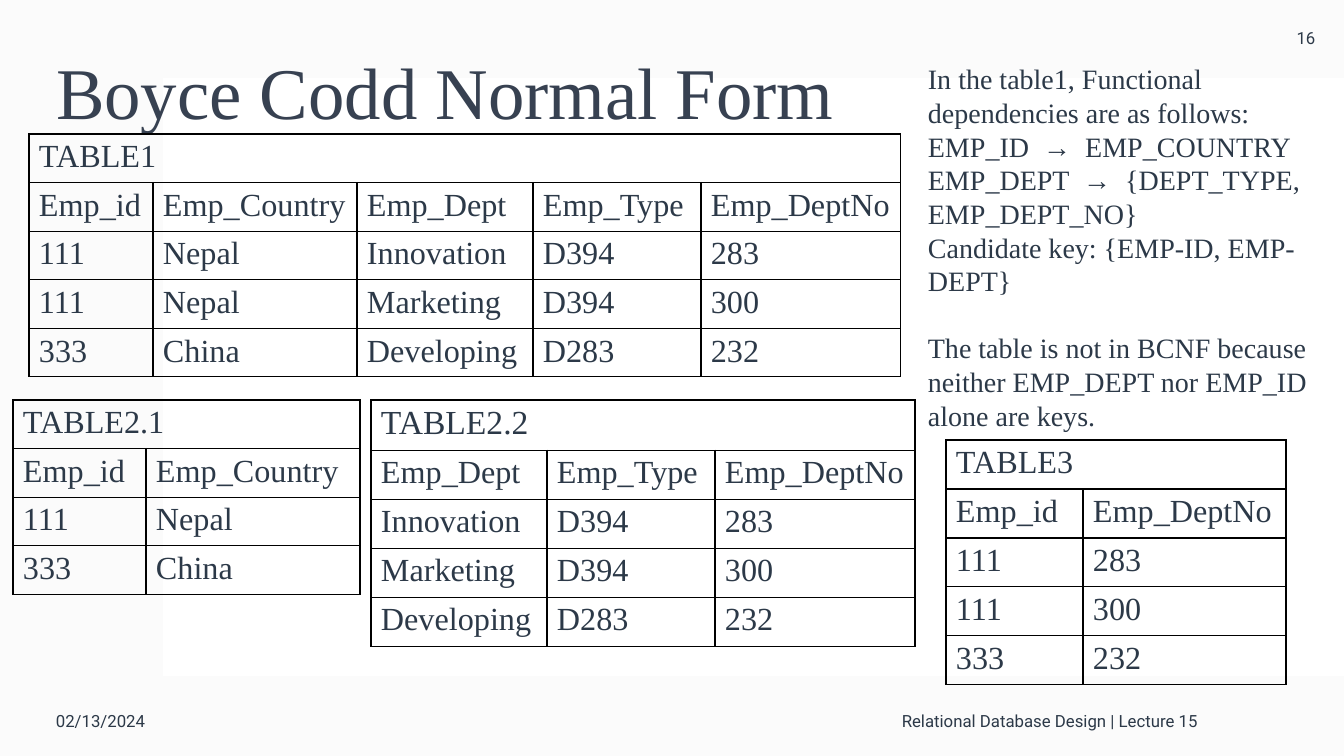
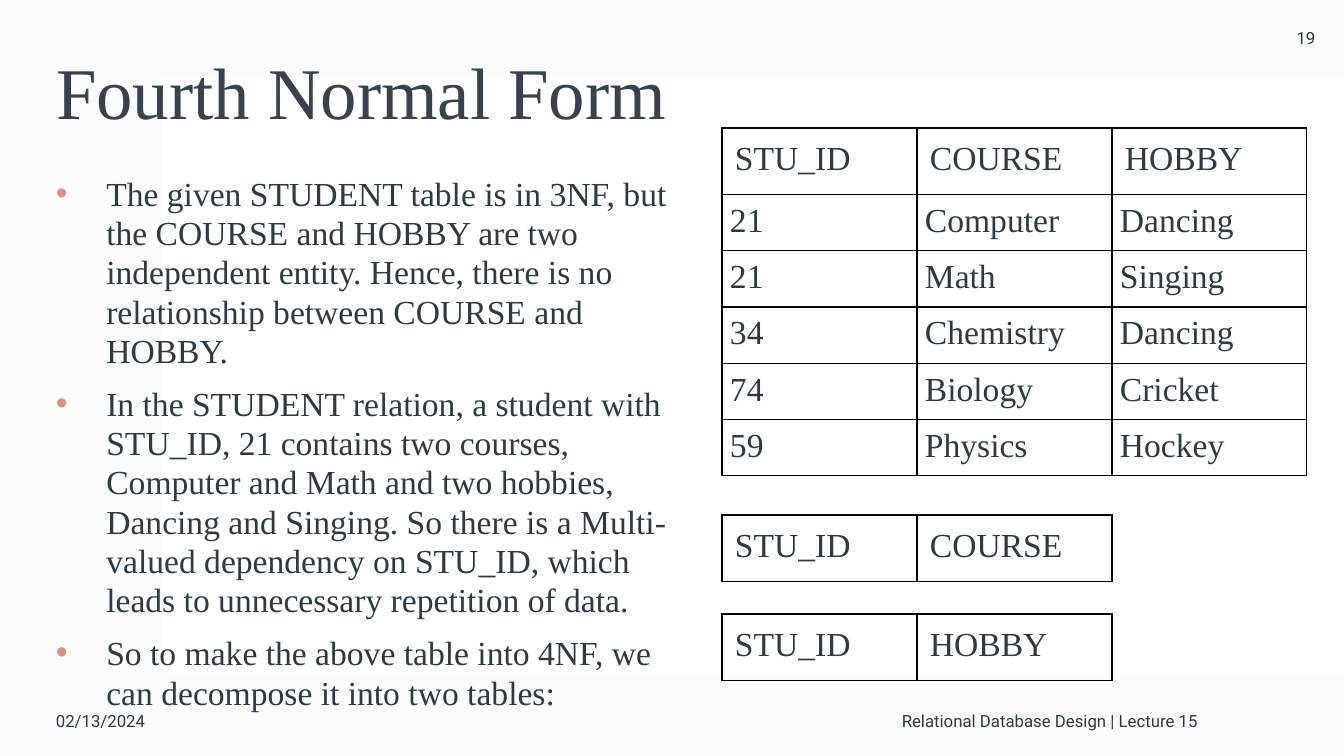
"""Build two slides on database normal forms."""
import pptx
import pptx.dml.color
import pptx.enum.shapes
import pptx.enum.text
import pptx.oxml
import pptx.oxml.ns
import pptx.util

PX = 914400 / 100.8
COLORS = {"page": "FBFBFB", "panel": "FFFFFF", "title": "374151",
          "text": "2C3948", "bullet": "D6947C", "border": "000000"}
SERIF, SANS = "Times New Roman", "Roboto"
ALIGN = pptx.enum.text.PP_ALIGN
MIDDLE = pptx.enum.text.MSO_ANCHOR.MIDDLE

PANEL_BOX = (163, 78, 1181, 598)
TITLE_BOX = (46, 23, 1222, 146)
NUMBER_BOX = (1268, 0, 76, 76)
FOOTERS = [("02/13/2024", (46, 685, 302, 71), ALIGN.LEFT),
           ("Relational Database Design | Lecture 15", (415, 685, 793, 71), ALIGN.RIGHT)]

TIGHT = {"margin_left": 10, "margin_right": 10, "margin_top": 5, "margin_bottom": 5}
HEADER = dict.fromkeys(TIGHT, 13)
DATA = dict.fromkeys(TIGHT, 8)

DEPARTMENTS = [("Emp_Dept", "Emp_Type", "Emp_DeptNo"), ("Innovation", "D394", "283"),
               ("Marketing", "D394", "300"), ("Developing", "D283", "232")]
EMPLOYEES = [("Emp_id", "Emp_Country"), ("111", "Nepal"), ("111", "Nepal"), ("333", "China")]

BCNF_TABLES = [
    {"at": (29, 134), "cols": (124, 204, 176, 168, 200), "row": 46, "caption": "TABLE1",
     "rows": [e + d for e, d in zip(EMPLOYEES, DEPARTMENTS)]},
    {"at": (13, 400), "cols": (133, 214), "row": 46, "caption": "TABLE2.1",
     "rows": EMPLOYEES[:2] + EMPLOYEES[3:]},
    {"at": (371, 400), "cols": (176, 168, 200), "row": 49, "caption": "TABLE2.2",
     "caption_size": 24, "rows": DEPARTMENTS},
    {"at": (946, 440), "cols": (137, 203), "row": 49, "caption": "TABLE3",
     "rows": [(e[0], d[2]) for e, d in zip(EMPLOYEES, DEPARTMENTS)]},
]
HOBBY_TABLES = [
    ((722, 128), [("STU_ID", "COURSE", "HOBBY"), ("21", "Computer", "Dancing"),
                  ("21", "Math", "Singing"), ("34", "Chemistry", "Dancing"),
                  ("74", "Biology", "Cricket"), ("59", "Physics", "Hockey")]),
    ((722, 515), [("STU_ID", "COURSE")]),
    ((722, 614), [("STU_ID", "HOBBY")]),
]
DEPENDENCIES = [
    "In the table1, Functional dependencies are as follows:",
    "EMP_ID  →  EMP_COUNTRY",
    "EMP_DEPT  →  {DEPT_TYPE, EMP_DEPT_NO}",
    "Candidate key: {EMP-ID, EMP-DEPT}",
]
CONCLUSION = "The table is not in BCNF because neither EMP_DEPT nor EMP_ID alone are keys."
FOURTH_POINTS = [
    "The given STUDENT table is in 3NF, but the COURSE and HOBBY are two independent entity. "
    "Hence, there is no relationship between COURSE and HOBBY.",
    "In the STUDENT relation, a student with STU_ID, 21 contains two courses, Computer and Math "
    "and two hobbies, Dancing and Singing. So there is a Multi-valued dependency on STU_ID, "
    "which leads to unnecessary repetition of data.",
    "So to make the above table into 4NF, we can decompose it into two tables:",
]


def px(*values):
    return [pptx.util.Emu(round(v * PX)) for v in values]


def rgb(name):
    return pptx.dml.color.RGBColor.from_string(COLORS[name])


def set_attrs(obj, **values):
    for name, value in values.items():
        setattr(obj, name, value)


def write(p, text, size, font=SERIF, color="text", **layout):
    r = p.add_run()
    r.text = text
    set_attrs(r.font, name=font, size=pptx.util.Pt(size), bold=False)
    r.font.color.rgb = rgb(color)
    set_attrs(p, **layout)


def add_text(slide, box, texts, size, font=SERIF, anchor=None, **layout):
    tf = slide.shapes.add_textbox(*px(*box)).text_frame
    set_attrs(tf, word_wrap=True, vertical_anchor=anchor)
    for i, text in enumerate(texts):
        p = tf.add_paragraph() if i else tf.paragraphs[0]
        write(p, text, size, font, **layout)
    return tf


def add_bullet(p):
    pPr = p._p.get_or_add_pPr()
    indent = round(50.4 * PX)
    set_xml = {"marL": indent, "indent": -indent}
    for name, value in set_xml.items():
        pPr.set(name, str(value))
    ns = pptx.oxml.ns.nsdecls("a")
    for xml in (f'<a:buClr {ns}><a:srgbClr val="{COLORS["bullet"]}"/></a:buClr>',
                f'<a:buFont {ns} typeface="Arial"/>', f'<a:buChar {ns} char="•"/>'):
        pPr.append(pptx.oxml.parse_xml(xml))


def add_borders(frame):
    for tcPr in frame.element.iter(pptx.oxml.ns.qn("a:tcPr")):
        for i, side in enumerate("LRTB"):
            tcPr.insert(i, pptx.oxml.parse_xml(
                f'<a:ln{side} {pptx.oxml.ns.nsdecls("a")} w="12700"><a:solidFill>'
                f'<a:srgbClr val="{COLORS["border"]}"/></a:solidFill></a:ln{side}>'))


def add_grid(slide, at, cols, heights, rows, styles):
    frame = slide.shapes.add_table(len(rows), len(cols), *px(*at, sum(cols), sum(heights)))
    table = frame.table
    set_attrs(table, first_row=False, horz_banding=False)
    for column, width in zip(table.columns, px(*cols)):
        column.width = width
    for i, (height, row, style) in enumerate(zip(px(*heights), rows, styles)):
        size, margins, align = style
        table.rows[i].height = height
        for j in range(len(cols)):
            cell = table.cell(i, j)
            cell.fill.background()
            set_attrs(cell, **dict(zip(margins, px(*margins.values()))))
            if j < len(row):
                write(cell.text_frame.paragraphs[0], row[j], size, alignment=align)
        if len(row) < len(cols):
            table.cell(i, 0).merge(table.cell(i, len(cols) - 1))
    add_borders(frame)


def add_slide(prs, title, number):
    slide = prs.slides.add_slide(prs.slide_layouts[5])
    sp = slide.shapes.title
    set_attrs(sp, **dict(zip(("left", "top", "width", "height"), px(*TITLE_BOX))))
    set_attrs(sp.text_frame, vertical_anchor=MIDDLE, word_wrap=True,
              auto_size=pptx.enum.text.MSO_AUTO_SIZE.NONE)
    write(sp.text_frame.paragraphs[0], title, 52, color="title",
          alignment=ALIGN.LEFT, line_spacing=0.9)
    for text, box, align in FOOTERS + [(number, NUMBER_BOX, ALIGN.CENTER)]:
        add_text(slide, box, [text], 12, SANS, MIDDLE, alignment=align)
    return slide


def style_master(prs, slide):
    master = prs.slide_master
    fill = master.background.fill
    fill.solid()
    fill.fore_color.rgb = rgb("page")
    sp = slide.shapes.add_shape(pptx.enum.shapes.MSO_SHAPE.RECTANGLE, *px(*PANEL_BOX))
    sp.shadow.inherit = False
    sp.fill.solid()
    sp.fill.fore_color.rgb = rgb("panel")
    sp.line.fill.background()
    sp.element.xpath(".//p:cNvPr")[0].set("id", "100")
    master.shapes.element.insert(2, sp.element)


def build_bcnf(prs):
    slide = add_slide(prs, "Boyce Codd Normal Form", "16")
    style_master(prs, slide)
    for spec in BCNF_TABLES:
        rows = [(spec["caption"],)] + spec["rows"]
        styles = [(spec.get("caption_size", 23), TIGHT, None)]
        styles += [(23, TIGHT, None)] * len(spec["rows"])
        add_grid(slide, spec["at"], spec["cols"], [spec["row"]] * len(rows), rows, styles)
    line = pptx.util.Pt(24)
    tf = add_text(slide, (918, 57, 426, 383), DEPENDENCIES + [CONCLUSION], 20, line_spacing=line)
    tf.paragraphs[-1].space_before = line


def build_fourth(prs):
    slide = add_slide(prs, "Fourth Normal Form", "19")
    tf = add_text(slide, (46, 169, 662, 530), FOURTH_POINTS, 24, line_spacing=pptx.util.Pt(28))
    for i, p in enumerate(tf.paragraphs):
        p.space_before = pptx.util.Pt(10 if i else 0)
        add_bullet(p)
    for at, rows in HOBBY_TABLES:
        count = len(rows) - 1
        styles = [(24, HEADER, None)] + [(24, DATA, ALIGN.JUSTIFY)] * count
        add_grid(slide, at, [195] * len(rows[0]), [63] + [54] * count, rows, styles)


def main():
    prs = pptx.Presentation()
    prs.slide_width, prs.slide_height = px(1344, 756)
    build_bcnf(prs)
    build_fourth(prs)
    prs.save("out.pptx")


if __name__ == "__main__":
    main()
